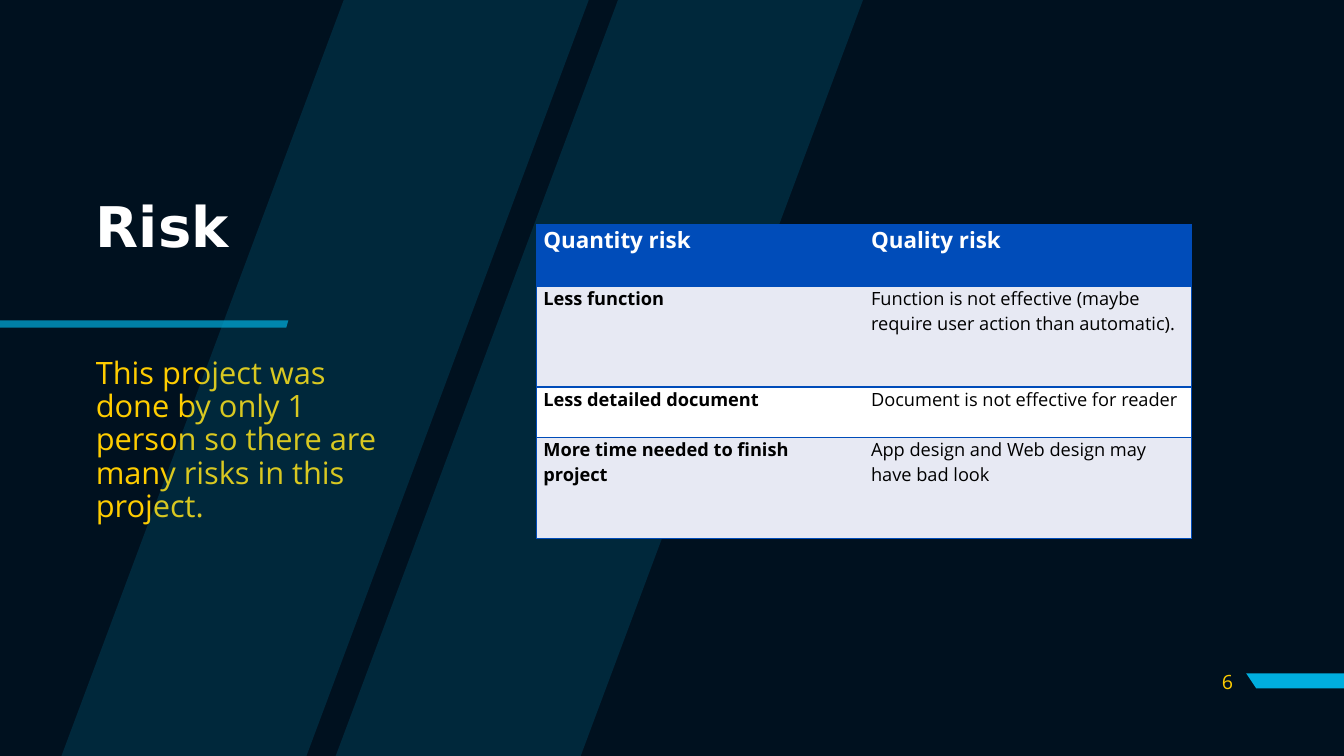
from lxml.etree import SubElement
from pptx import Presentation
from pptx.dml.color import RGBColor
from pptx.enum.text import MSO_ANCHOR, MSO_AUTO_SIZE, PP_ALIGN
from pptx.oxml import parse_xml
from pptx.oxml.ns import nsdecls, qn
from pptx.util import Inches, Pt

COLORS = {
    "background": "00111F", "accent": "00AEDE", "yellow": "FFCD00",
    "blue": "004CB9", "band": "E7E9F3", "white": "FFFFFF", "black": "000000",
}
TITLE = "Risk"
SUMMARY = "This project was done by only 1 person so there are many risks in this project."
PAGE_NUMBER = "6"
RISKS = [
    ("Quantity risk", "Quality risk"),
    ("Less function",
     "Function is not effective (maybe require user action than automatic)."),
    ("Less detailed document", "Document is not effective for reader"),
    ("More time needed to finish project",
     "App design and Web design may have bad look"),
]
ROW_HEIGHTS = (0.61, 1, 0.5, 1)
COLUMN_WIDTH = 3.25

# Corner points in inches, opacity in percent
DECORATIONS = [
    ([(3.41, 0), (5.84, 0), (3.04, 7.5), (0.61, 7.5)], 15),
    ([(6.13, 0), (8.56, 0), (5.76, 7.5), (3.33, 7.5)], 15),
    ([(13.33, 6.68), (13.33, 6.83), (12.46, 6.83), (12.36, 6.68)], 100),
    ([(0, 3.18), (0, 3.25), (2.84, 3.25), (2.86, 3.18)], 70),
]

TITLE_FONT = {"name": "DejaVu Sans", "size": Pt(40), "bold": True}
SUMMARY_FONT = {"name": "Open Sans", "size": Pt(22), "bold": False}
NUMBER_FONT = {"name": "Open Sans", "size": Pt(14), "bold": False}
HEADER_FONT = {"name": "Open Sans", "size": Pt(16), "bold": True}
CELL_FONT = {"name": "Open Sans", "size": Pt(13)}
CELL_MARGINS = {"margin_left": Inches(0.07), "margin_right": Inches(0.07),
                "margin_top": 0, "margin_bottom": 0}


def color(name):
    return RGBColor.from_string(COLORS[name])


def set_attributes(target, values):
    for name, value in values.items():
        setattr(target, name, value)


def write(text_frame, text, font, color_name, **paragraph_format):
    text_frame.text = text
    paragraph = text_frame.paragraphs[0]
    set_attributes(paragraph, paragraph_format)
    set_attributes(paragraph.runs[0].font, font)
    paragraph.runs[0].font.color.rgb = color(color_name)
    return paragraph


def place(shape, left, top, width, height, anchor):
    set_attributes(shape, {"left": Inches(left), "top": Inches(top),
                           "width": Inches(width), "height": Inches(height)})
    set_attributes(shape.text_frame, {"word_wrap": True, "vertical_anchor": anchor,
                                      "auto_size": MSO_AUTO_SIZE.NONE})


def add_decoration(slide, points, opacity):
    corners = [(Inches(x), Inches(y)) for x, y in points]
    builder = slide.shapes.build_freeform(*corners[0])
    builder.add_line_segments(corners[1:], close=True)
    shape = builder.convert_to_shape()
    shape.shadow.inherit = False
    shape.line.fill.background()
    shape.fill.solid()
    shape.fill.fore_color.rgb = color("accent")
    if opacity < 100:
        fill_color = shape.fill._xPr.find(qn("a:solidFill"))[0]
        SubElement(fill_color, qn("a:alpha"), val=str(opacity * 1000))


def set_borders(cell, visible_sides):
    properties = cell._tc.get_or_add_tcPr()
    for position, side in enumerate("LRTB"):
        fill = (f'<a:solidFill><a:srgbClr val="{COLORS["blue"]}"/></a:solidFill>'
                if side in visible_sides else "<a:noFill/>")
        properties.insert(position, parse_xml(
            f'<a:ln{side} {nsdecls("a")} w="{Pt(1)}">{fill}</a:ln{side}>'))


def add_risk_table(slide):
    columns = len(RISKS[0])
    table = slide.shapes.add_table(
        len(RISKS), columns, Inches(5.32), Inches(2.23),
        Inches(COLUMN_WIDTH * columns), Inches(sum(ROW_HEIGHTS))).table
    for column in table.columns:
        column.width = Inches(COLUMN_WIDTH)
    for row_index, (texts, height) in enumerate(zip(RISKS, ROW_HEIGHTS)):
        table.rows[row_index].height = Inches(height)
        for column_index, text in enumerate(texts):
            cell = table.cell(row_index, column_index)
            set_attributes(cell, CELL_MARGINS)
            cell.fill.solid()
            if row_index == 0:
                cell.fill.fore_color.rgb = color("blue")
                write(cell.text_frame, text, HEADER_FONT, "white")
            else:
                cell.fill.fore_color.rgb = color("band" if row_index % 2 else "white")
                font = {**CELL_FONT, "bold": column_index == 0}
                write(cell.text_frame, text, font, "black")
            set_borders(cell, "LTB" if column_index == 0 else "RTB")


def main():
    presentation = Presentation()
    presentation.slide_width = Inches(13.33)
    presentation.slide_height = Inches(7.5)
    slide = presentation.slides.add_slide(presentation.slide_layouts[1])
    slide.background.fill.solid()
    slide.background.fill.fore_color.rgb = color("background")

    for points, opacity in DECORATIONS:
        add_decoration(slide, points, opacity)

    title = slide.shapes.title
    place(title, 0.85, 1.44, 3.09, 1.67, MSO_ANCHOR.MIDDLE)
    write(title.text_frame, TITLE, TITLE_FONT, "white",
          alignment=PP_ALIGN.LEFT, line_spacing=0.9)

    summary = slide.placeholders[1]
    place(summary, 0.85, 3.5, 3.09, 2.36, MSO_ANCHOR.TOP)
    paragraph = write(summary.text_frame, SUMMARY, SUMMARY_FONT, "yellow",
                      line_spacing=0.9, space_before=Pt(10))
    properties = paragraph._p.get_or_add_pPr()
    set_unindented = {"marL": "0", "indent": "0"}
    for name, value in set_unindented.items():
        properties.set(name, value)
    SubElement(properties, qn("a:buNone"))

    number = slide.shapes.add_textbox(0, 0, 0, 0)
    place(number, 11.73, 6.56, 0.6, 0.4, MSO_ANCHOR.MIDDLE)
    write(number.text_frame, PAGE_NUMBER, NUMBER_FONT, "yellow",
          alignment=PP_ALIGN.RIGHT)

    add_risk_table(slide)
    presentation.save("out.pptx")


if __name__ == "__main__":
    main()
